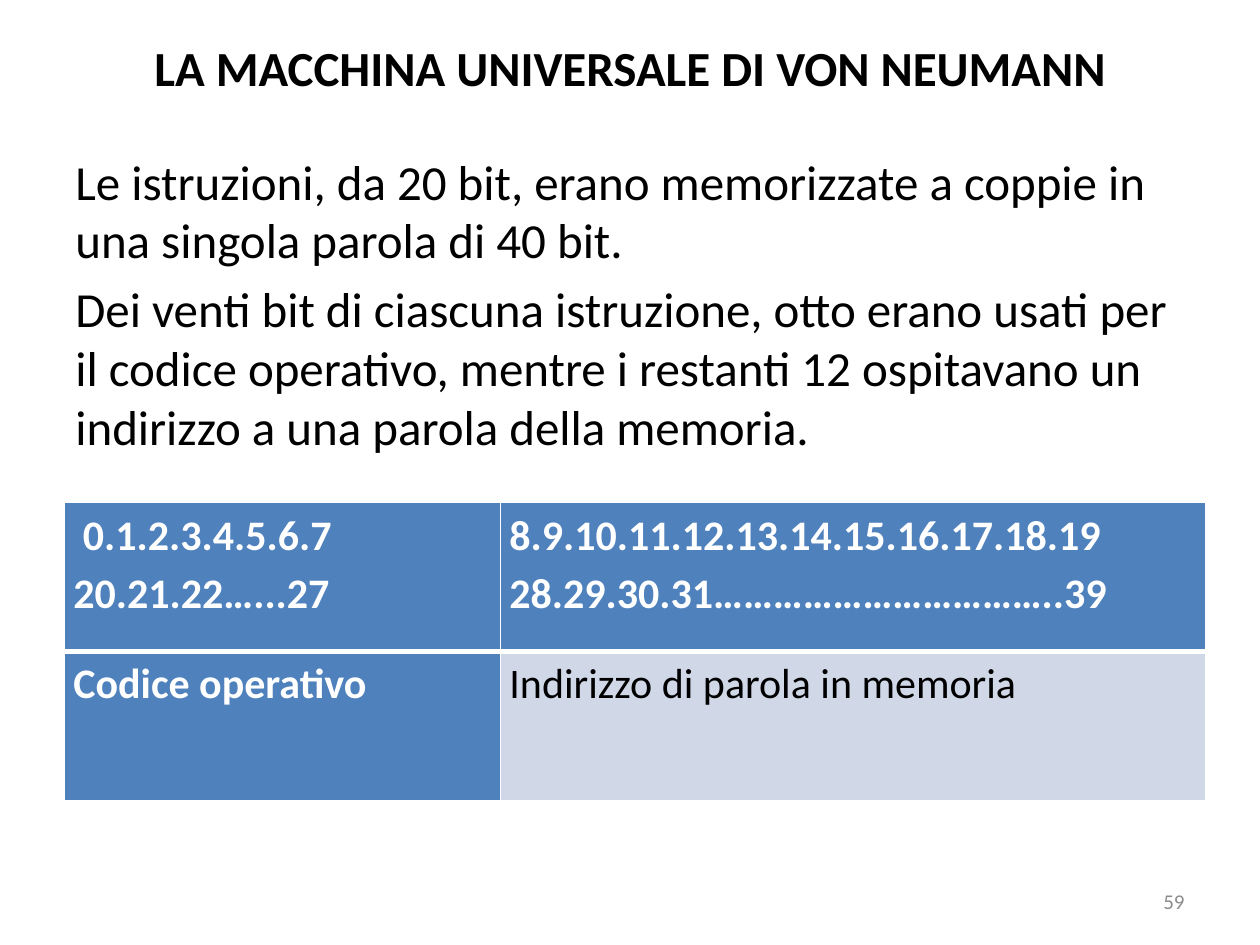
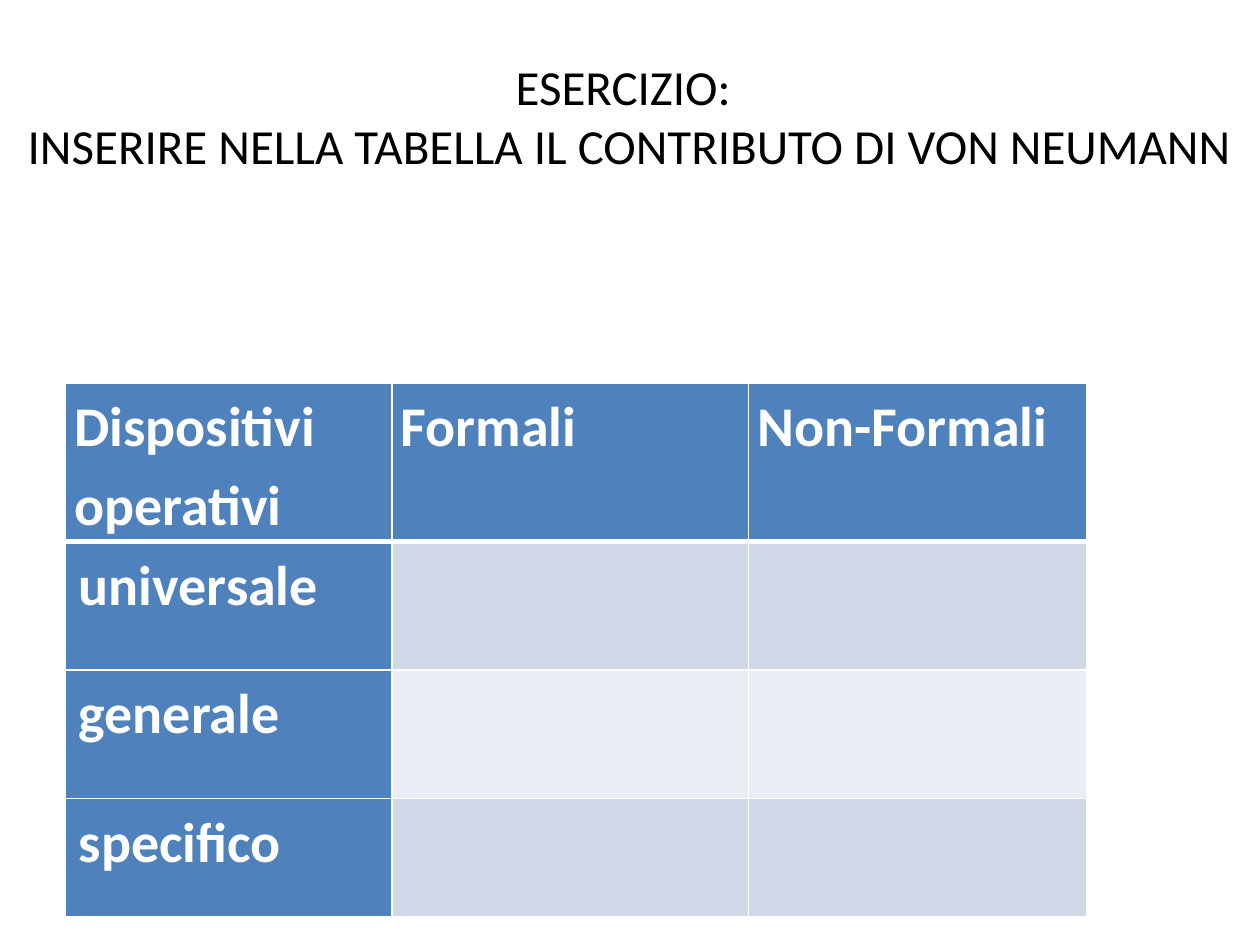
"""Build two slides on the von Neumann machine, each with a title and a table."""
import pptx
import pptx.util
import pptx.dml.color
import pptx.enum.text
import pptx.oxml.ns
import lxml.etree

Cm, Pt = pptx.util.Cm, pptx.util.Pt
ALIGN, ANCHOR = pptx.enum.text.PP_ALIGN, pptx.enum.text.MSO_ANCHOR

FONT = "Calibri"
COLORS = {"ink": "000000", "white": "FFFFFF", "head": "4F81BD",
          "dark": "D0D8E8", "light": "E9EDF4", "grey": "8C8C8C"}
THIN, THICK = 1, 3
NBSP = (" ", 11)

SLIDES = [
    {
        "title": "LA MACCHINA UNIVERSALE DI VON NEUMANN",
        "box": (1.27, 0.76, 22.86, 1.17),
        "bold": True,
        "body": [
            "Le istruzioni, da 20 bit, erano memorizzate a coppie in una "
            "singola parola di 40 bit.",
            "Dei venti bit di ciascuna istruzione, otto erano usati per il "
            "codice operativo, mentre i restanti 12 ospitavano un indirizzo "
            "a una parola della memoria.",
        ],
        "number": "59",
        "table": {
            "at": (1.3, 10.13), "size": 24,
            "cols": (8.79, 14.22), "rows": (3, 3.02),
            "cells": [
                [[[" 0.1.2.3.4.5.6.7"], ["20.21.22…...27"]],
                 [["8.9.10.11.12.13.14.15.16.17.18.19"],
                  ["28.29.30.31……………………………..39"]]],
                [[["Codice operativo"]],
                 [["Indirizzo di parola in memoria"]]],
            ],
        },
    },
    {
        "title": "ESERCIZIO: \vINSERIRE NELLA TABELLA IL CONTRIBUTO DI VON NEUMANN",
        "box": (0, 0.74, 25.35, 3.18),
        "bold": False,
        "body": [],
        "number": "",
        "table": {
            "at": (1.32, 7.72), "size": 32,
            "cols": (6.58, 7.19, 6.81), "rows": (3.2, 2.59, 2.59, 2.39),
            "cells": [
                [[["Dispositivi operativi"]], [["Formali"]], [["Non-Formali"]]],
                [[[NBSP, "universale"]], [], []],
                [[[NBSP, "generale"]], [], []],
                [[[NBSP, "specifico"]], [], []],
            ],
        },
    },
]


def paint(name):
    return pptx.dml.color.RGBColor.from_string(COLORS[name])


def add_run(para, text, size, color="ink", bold=False):
    first, *rest = text.split("\v")
    for step, part in enumerate([first, *rest]):
        if step:
            para.add_line_break()
        run = para.add_run()
        run.text = part
        run.font.name, run.font.size, run.font.bold = FONT, Pt(size), bold
        run.font.color.rgb = paint(color)


def next_para(frame, index):
    return frame.add_paragraph() if index else frame.paragraphs[0]


def add_title(slide, item):
    title = slide.shapes.title
    title.left, title.top, title.width, title.height = map(Cm, item["box"])
    frame = title.text_frame
    frame.auto_size = pptx.enum.text.MSO_AUTO_SIZE.NONE
    frame.vertical_anchor = ANCHOR.MIDDLE
    para = frame.paragraphs[0]
    para.alignment = ALIGN.CENTER
    add_run(para, item["title"], 28, bold=item["bold"])


def add_box(slide, box):
    frame = slide.shapes.add_textbox(*map(Cm, box)).text_frame
    frame.word_wrap = True
    return frame


def add_body(slide, lines):
    frame = add_box(slide, (1.27, 2.92, 22.86, 14.1))
    for index, line in enumerate(lines):
        para = next_para(frame, index)
        para.space_before = Pt(5.6)
        add_run(para, line, 28)


def add_number(slide, text):
    frame = add_box(slide, (18.21, 17.65, 5.92, 1.02))
    frame.vertical_anchor = ANCHOR.MIDDLE
    para = frame.paragraphs[0]
    para.alignment = ALIGN.RIGHT
    add_run(para, text, 12, "grey")


def add_edges(cell, row):
    qn = pptx.oxml.ns.qn
    props = cell._tc.get_or_add_tcPr()
    widths = {"L": THIN, "R": THIN, "T": THICK if row == 1 else THIN,
              "B": THICK if row == 0 else THIN}
    for side, width in widths.items():
        line = lxml.etree.SubElement(props, qn("a:ln" + side), w=str(Pt(width)))
        fill = lxml.etree.SubElement(line, qn("a:solidFill"))
        lxml.etree.SubElement(fill, qn("a:srgbClr"), val=COLORS["white"])


def fill_cell(cell, paras, row, col, size):
    head = row == 0 or col == 0
    add_edges(cell, row)
    cell.fill.solid()
    cell.fill.fore_color.rgb = paint("head" if head else "dark" if row % 2 else "light")
    cell.margin_left = cell.margin_right = Cm(0.18)
    cell.margin_top = cell.margin_bottom = 0
    for index, runs in enumerate(paras):
        para = next_para(cell.text_frame, index)
        para.line_spacing = 1.15
        for run in runs:
            text, points = (run, size) if isinstance(run, str) else run
            add_run(para, text, points, "white" if head else "ink", head)


def add_grid(slide, spec):
    cols, rows = spec["cols"], spec["rows"]
    shape = slide.shapes.add_table(len(rows), len(cols), *map(Cm, spec["at"]),
                                   Cm(sum(cols)), Cm(sum(rows)))
    table = shape.table
    for col, width in zip(table.columns, cols):
        col.width = Cm(width)
    for row, height in zip(table.rows, rows):
        row.height = Cm(height)
    for row, cells in enumerate(spec["cells"]):
        for col, paras in enumerate(cells):
            fill_cell(table.cell(row, col), paras, row, col, spec["size"])


def main():
    deck = pptx.Presentation()
    deck.slide_width, deck.slide_height = Cm(25.4), Cm(19.05)
    for item in SLIDES:
        slide = deck.slides.add_slide(deck.slide_layouts[5])
        add_title(slide, item)
        if item["body"]:
            add_body(slide, item["body"])
        if item["number"]:
            add_number(slide, item["number"])
        add_grid(slide, item["table"])
    deck.save("out.pptx")


if __name__ == "__main__":
    main()
